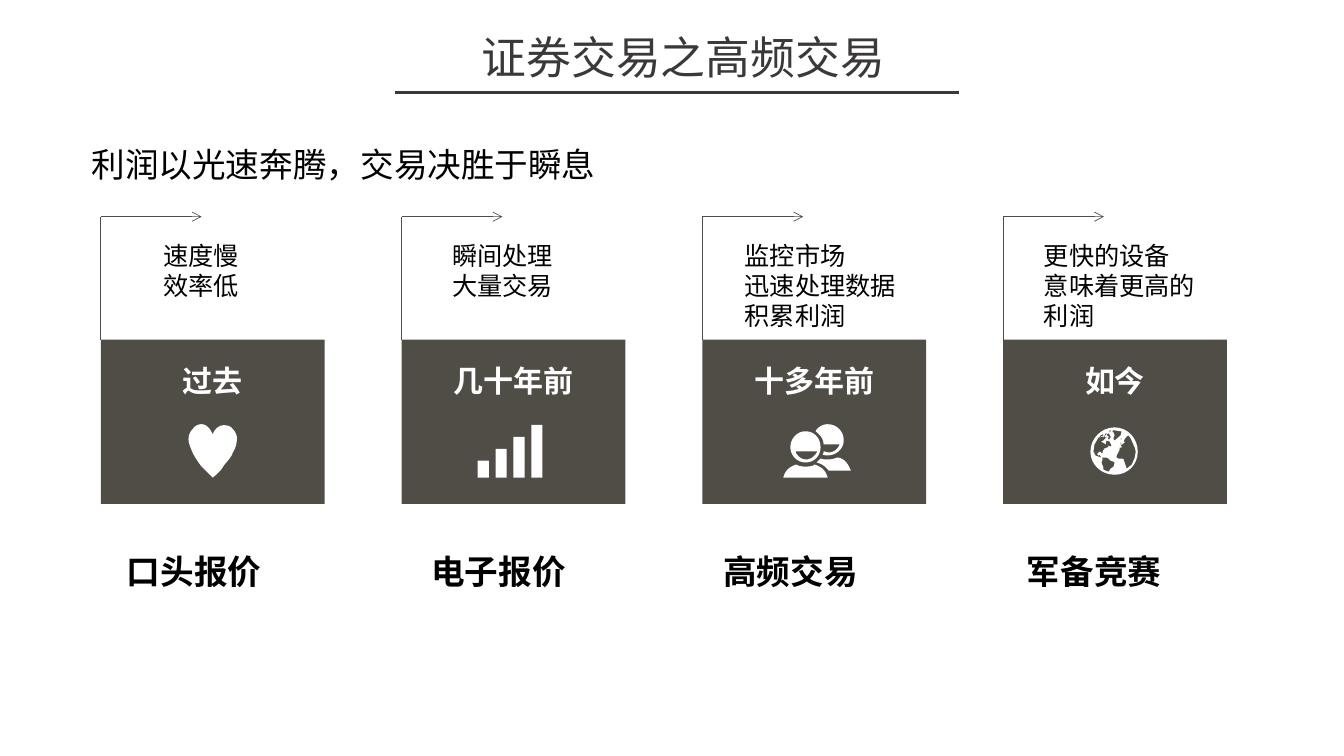
from dataclasses import dataclass

from lxml import etree
from pptx import Presentation
from pptx.dml.color import RGBColor
from pptx.enum.shapes import MSO_CONNECTOR, MSO_SHAPE
from pptx.enum.text import MSO_ANCHOR, MSO_AUTO_SIZE, PP_ALIGN
from pptx.oxml.ns import qn
from pptx.shapes.autoshape import Shape
from pptx.slide import Slide
from pptx.util import Cm, Pt

STRAIGHT = MSO_CONNECTOR.STRAIGHT
RECTANGLE = MSO_SHAPE.RECTANGLE
TOP = MSO_ANCHOR.TOP
FIXED_SIZE = MSO_AUTO_SIZE.NONE
LEFT, CENTER = PP_ALIGN.LEFT, PP_ALIGN.CENTER

FONT = "Noto Sans CJK SC"
STONE = RGBColor(0x50, 0x4D, 0x47)
CHARCOAL = RGBColor(0x3B, 0x38, 0x38)
BLACK = RGBColor(0, 0, 0)
WHITE = RGBColor(0xFF, 0xFF, 0xFF)

CARD_LEFT, CARD_TOP, CARD_PITCH = 2.54, 8.56, 7.58
CARD_WIDTH, CARD_HEIGHT = 5.64, 4.14
ARROW_TOP, ARROW_LENGTH = 5.46, 2.54
ICON_UNIT = 0.0254
STEPS_PER_CM = 1000
CURVE_STEPS = 8

Points = list[tuple[float, float]]


@dataclass(frozen=True)
class TextStyle:
    size: float
    color: RGBColor
    bold: bool = False
    align: PP_ALIGN = LEFT
    inset: bool = True
    wrap: bool = True


@dataclass(frozen=True)
class Era:
    name: str
    traits: list[str]
    traits_left: float
    traits_width: float
    caption: str
    caption_left: float


@dataclass(frozen=True)
class Icon:
    left: float
    top: float
    curves: list[Points]
    polygons: list[Points]


TITLE_STYLE = TextStyle(32, CHARCOAL, align=CENTER)
LEAD_STYLE = TextStyle(24, BLACK)
ERA_STYLE = TextStyle(21.4, WHITE, bold=True, align=CENTER, inset=False)
TRAITS_STYLE = TextStyle(18, BLACK)
CAPTION_STYLE = TextStyle(24, BLACK, bold=True, wrap=False)

ERAS = [
    Era("过去", ["速度慢效率低"], 3.86, 2.54, "口头报价", 2.95),
    Era("几十年前", ["瞬间处理大量交易"], 11.15, 3.38, "电子报价", 10.62),
    Era("十多年前", ["监控市场", "迅速处理数据积累利润"], 18.52, 4.57, "高频交易", 17.98),
    Era("如今", ["更快的设备", "意味着更高的利润"], 26.06, 4.62, "军备竞赛", 25.63),
]

HEART = Icon(4.75, 10.69, [
    [(24, 10), (26, 5), (30, 1), (35, 1), (39, 1), (42, 2), (44, 5), (47, 8), (48, 11), (48, 14),
     (48, 19), (47, 23), (44, 28), (43, 32), (39, 36), (35, 41), (33, 45), (29, 49), (24, 53),
     (20, 49), (16, 45), (13, 42), (9, 37), (6, 32), (4, 28), (2, 23), (0, 19), (0, 15),
     (0, 12), (1, 8), (4, 5), (6, 2), (9, 0), (13, 0), (18, 0), (22, 5), (24, 10)],
], [])

TRADERS = Icon(19.74, 10.69, [
    [(22, 38), (31, 38), (37, 31), (37, 23), (37, 14), (31, 7), (22, 7),
     (14, 7), (7, 14), (7, 23), (7, 31), (14, 38), (22, 38)],
    [(34, 27), (31, 32), (27, 35), (23, 35), (18, 35), (14, 32), (12, 27)],
    [(31, 40), (29, 42), (25, 42), (22, 42), (19, 42), (16, 42), (13, 40), (7, 42), (2, 45), (0, 53),
     (0, 53), (44, 53), (44, 53), (42, 45), (37, 42), (31, 40)],
    [(40, 20), (40, 20), (56, 20), (56, 20), (54, 25), (50, 28), (45, 28), (43, 28), (42, 27), (40, 27),
     (40, 28), (40, 29), (39, 30), (41, 31), (43, 31), (44, 31), (53, 31), (60, 24), (60, 16),
     (60, 7), (53, 0), (44, 0), (39, 0), (34, 3), (32, 7), (36, 10), (40, 14), (40, 20)],
    [(54, 33), (51, 34), (48, 35), (44, 35), (42, 35), (39, 35), (37, 34), (36, 35), (35, 36), (33, 38),
     (38, 39), (42, 42), (45, 46), (45, 46), (67, 46), (67, 46), (64, 38), (60, 34), (54, 33)],
], [])

GLOBE = Icon(27.48, 10.77, [
    [(24, 0), (11, 0), (0, 11), (0, 24), (0, 37), (11, 47), (24, 47),
     (37, 47), (47, 37), (47, 24), (47, 11), (37, 0), (24, 0)],
], [
    [(23, 39), (20, 41), (18, 44), (13, 42), (13, 40), (11, 35), (12, 32), (12, 31), (11, 30), (5, 28),
     (3, 24), (4, 17), (8, 10), (13, 9), (13, 10), (15, 6), (16, 6), (16, 7), (14, 9), (15, 10), (16, 9),
     (17, 6), (18, 6), (19, 7), (20, 9), (20, 10), (19, 11), (19, 12), (18, 12), (17, 11), (18, 10),
     (18, 9), (16, 8), (16, 10), (13, 13), (11, 14), (12, 15), (14, 16), (15, 17), (16, 13), (19, 14),
     (21, 18), (20, 19), (17, 18), (18, 19), (19, 19), (14, 21), (12, 24), (12, 26), (9, 24), (7, 26),
     (7, 27), (8, 28), (9, 27), (11, 30), (16, 30), (18, 31), (20, 33), (23, 34), (24, 35)],
    [(23, 12), (23, 10), (24, 8), (23, 5), (22, 5), (22, 3), (24, 3), (31, 4), (30, 8), (24, 13)],
    [(44, 30), (41, 37), (36, 41), (33, 32), (32, 31), (28, 31), (26, 30), (26, 28), (29, 22), (29, 20),
     (31, 20), (31, 19), (30, 18), (34, 15), (33, 13), (36, 9), (38, 8), (40, 11), (44, 20), (45, 24)],
    [(9, 9), (10, 8), (12, 7), (13, 7), (13, 8), (11, 9), (10, 10)],
    [(19, 4), (19, 3), (21, 3), (19, 5), (18, 5)],
    [(31, 11), (31, 12), (30, 12), (30, 11)],
    [(31, 17), (30, 17), (30, 14)],
])


def trace_curve(controls: Points) -> Points:
    traced = [controls[0]]
    for start in range(0, len(controls) - 1, 3):
        segment = controls[start:start + 4]
        for step in range(1, CURVE_STEPS + 1):
            t = step / CURVE_STEPS
            weights = ((1 - t) ** 3, 3 * t * (1 - t) ** 2, 3 * t ** 2 * (1 - t), t ** 3)
            traced.append((sum(w * x for w, (x, _) in zip(weights, segment)),
                           sum(w * y for w, (_, y) in zip(weights, segment))))
    return traced


def paint(shape: Shape, color: RGBColor) -> None:
    shape.shadow.inherit = False
    shape.fill.solid()
    shape.fill.fore_color.rgb = color
    shape.line.fill.background()


def draw_block(slide: Slide, left: float, top: float, width: float, height: float, color: RGBColor) -> None:
    paint(slide.shapes.add_shape(RECTANGLE, Cm(left), Cm(top), Cm(width), Cm(height)), color)


def draw_icon(slide: Slide, icon: Icon) -> None:
    scale = ICON_UNIT * STEPS_PER_CM
    contours = [trace_curve(curve) for curve in icon.curves] + icon.polygons
    scaled = [[(x * scale, y * scale) for x, y in contour] for contour in contours]
    builder = slide.shapes.build_freeform(*scaled[0][0], scale=Cm(1) / STEPS_PER_CM)
    builder.add_line_segments(scaled[0][1:])
    for contour in scaled[1:]:
        builder.move_to(*contour[0])
        builder.add_line_segments(contour[1:])
    paint(builder.convert_to_shape(Cm(icon.left), Cm(icon.top)), WHITE)


def draw_line(slide: Slide, start: tuple[float, float], end: tuple[float, float],
              color: RGBColor, weight: float, arrow: bool = False) -> None:
    line = slide.shapes.add_connector(STRAIGHT, *map(Cm, start + end))
    line.line.color.rgb = color
    line.line.width = Pt(weight)
    properties = line._element.spPr
    if arrow:
        etree.SubElement(properties.find(qn("a:ln")), qn("a:tailEnd"), type="arrow")
    etree.SubElement(properties, qn("a:effectLst"))


def write_text(box: Shape, lines: list[str], style: TextStyle) -> None:
    frame = box.text_frame
    frame.text = "\n".join(lines)
    frame.word_wrap = style.wrap
    frame.auto_size = FIXED_SIZE
    frame.vertical_anchor = TOP
    if not style.inset:
        frame.margin_left = frame.margin_top = frame.margin_right = frame.margin_bottom = 0
    for paragraph in frame.paragraphs:
        paragraph.alignment = style.align
        font = paragraph.font
        font.name, font.size, font.bold = FONT, Pt(style.size), style.bold
        font.color.rgb = style.color
        defaults = paragraph._p.pPr.find(qn("a:defRPr"))
        etree.SubElement(defaults, qn("a:ea"), typeface=FONT)


def add_text(slide: Slide, left: float, top: float, width: float, height: float,
             lines: list[str], style: TextStyle) -> None:
    write_text(slide.shapes.add_textbox(Cm(left), Cm(top), Cm(width), Cm(height)), lines, style)


def draw_era(slide: Slide, era: Era, left: float) -> None:
    draw_block(slide, left, CARD_TOP, CARD_WIDTH, CARD_HEIGHT, STONE)
    draw_line(slide, (left, CARD_TOP), (left, ARROW_TOP), STONE, 0.5)
    draw_line(slide, (left, ARROW_TOP), (left + ARROW_LENGTH, ARROW_TOP), STONE, 0.5, arrow=True)
    add_text(slide, left + 1.03, 9.14, 3.58, 0.91, [era.name], ERA_STYLE)
    add_text(slide, era.traits_left, 5.92, era.traits_width, 1.04 + 0.76 * len(era.traits), era.traits, TRAITS_STYLE)
    add_text(slide, era.caption_left, 13.77, 3.94, 1.27, [era.caption], CAPTION_STYLE)


def main() -> None:
    deck = Presentation()
    deck.slide_width, deck.slide_height = Cm(33.87), Cm(19.05)
    slide = deck.slides.add_slide(deck.slide_layouts[5])

    title = slide.shapes.title
    title.left, title.top, title.width, title.height = Cm(9.53), Cm(0.61), Cm(15.39), Cm(1.63)
    write_text(title, ["证券交易之高频交易"], TITLE_STYLE)
    draw_line(slide, (9.96, 2.34), (24.18, 2.34), CHARCOAL, 2)
    add_text(slide, 2.06, 3.51, 19.84, 1.27, ["利润以光速奔腾，交易决胜于瞬息"], LEAD_STYLE)

    for index, era in enumerate(ERAS):
        draw_era(slide, era, CARD_LEFT + index * CARD_PITCH)
    for icon in (HEART, TRADERS, GLOBE):
        draw_icon(slide, icon)
    for bar in range(4):
        height = 0.43 + 0.3 * bar
        draw_block(slide, 12.04 + 0.45 * bar, 12.04 - height, 0.28, height, WHITE)

    deck.save("out.pptx")


if __name__ == "__main__":
    main()
